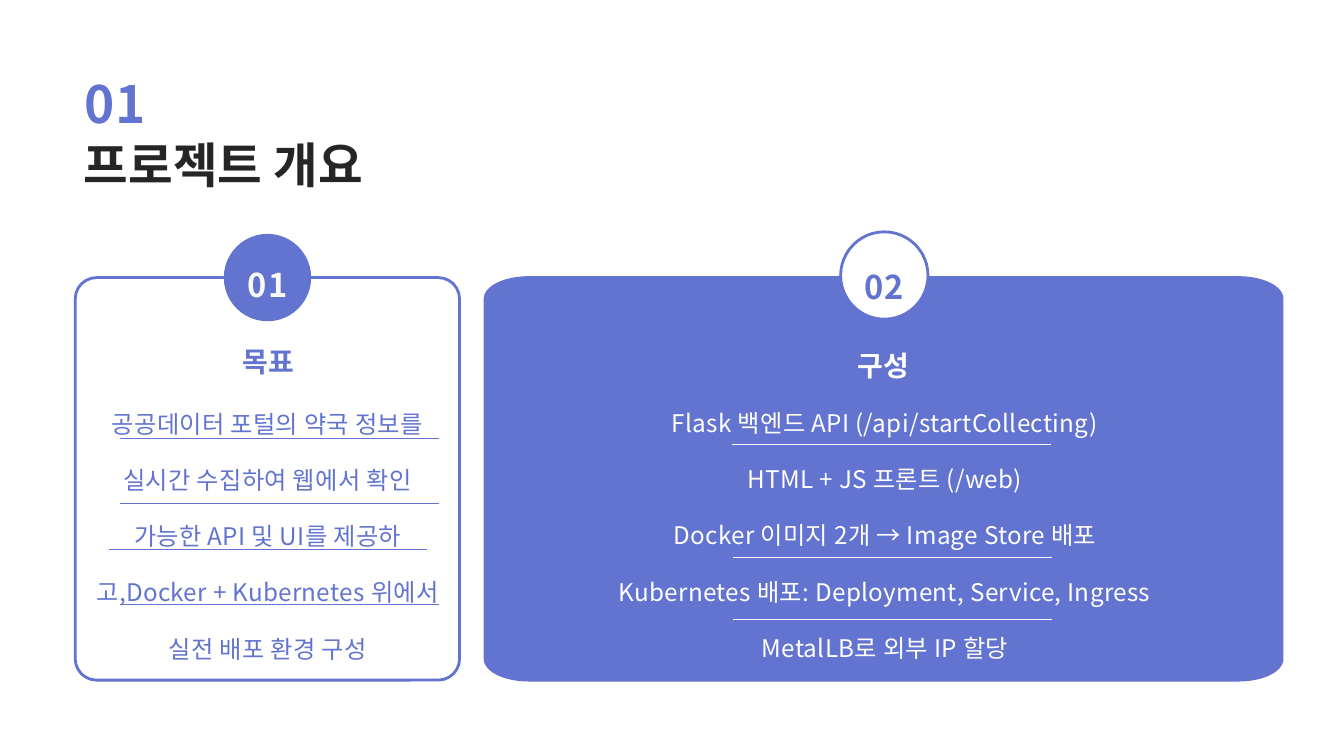
from math import cos, radians, sin

from lxml.etree import SubElement
from pptx import Presentation
from pptx.dml.color import RGBColor
from pptx.enum.shapes import MSO_CONNECTOR, MSO_SHAPE
from pptx.enum.text import MSO_AUTO_SIZE, PP_ALIGN
from pptx.oxml.ns import qn
from pptx.util import Pt

COLORS = {"blue": "6274CF", "white": "FFFFFF", "ivory": "F9FAF5", "black": "252525"}
FONT = "Noto Sans CJK KR"

presentation = Presentation()
presentation.slide_width = Pt(1440)
presentation.slide_height = Pt(810)
slide = presentation.slides.add_slide(presentation.slide_layouts[6])


def add_text(box, lines, size, color, leading, spacing=0, bold=True, align=PP_ALIGN.CENTER):
    frame = slide.shapes.add_textbox(*map(Pt, box)).text_frame
    frame_format = {
        "margin_left": 0, "margin_top": 0, "margin_right": 0, "margin_bottom": 0,
        "word_wrap": True, "auto_size": MSO_AUTO_SIZE.SHAPE_TO_FIT_TEXT,
    }
    for name, value in frame_format.items():
        setattr(frame, name, value)
    frame.text = "\n".join(lines)
    for paragraph in frame.paragraphs:
        paragraph.alignment = align
        paragraph.line_spacing = Pt(leading)
        run = paragraph.runs[0]
        for name, value in {"name": FONT, "size": Pt(size), "bold": bold}.items():
            setattr(run.font, name, value)
        run.font.color.rgb = RGBColor.from_string(COLORS[color])
        properties = run._r.get_or_add_rPr()
        properties.set("spc", str(round(spacing * 100)))
        SubElement(properties, qn("a:ea")).set("typeface", FONT)


def paint(shape, fill, line):
    shape.shadow.inherit = False
    if fill:
        shape.fill.solid()
        shape.fill.fore_color.rgb = RGBColor.from_string(COLORS[fill])
    else:
        shape.fill.background()
    if line:
        shape.line.color.rgb = RGBColor.from_string(COLORS[line])
        shape.line.width = Pt(3)
    else:
        shape.line.fill.background()


# Heading
add_text((90, 33.1, 110, 98.6), ["01"], 55, "blue", 110, 1.3, align=PP_ALIGN.LEFT)
add_text((90, 103, 417.6, 93.6), ["프로젝트 개요"], 52, "black", 104, align=PP_ALIGN.LEFT)

# Wide panel with elliptical corners, clockwise from the bottom right
left, top, width, height = 519.8, 297.4, 853.9, 431.3
radius_x, radius_y = 46.8, 22.8
corner_centers = [
    (left + width - radius_x, top + height - radius_y),
    (left + radius_x, top + height - radius_y),
    (left + radius_x, top + radius_y),
    (left + width - radius_x, top + radius_y),
]
outline = [
    (Pt(x + radius_x * cos(radians(angle))), Pt(y + radius_y * sin(radians(angle))))
    for quarter, (x, y) in enumerate(corner_centers)
    for angle in range(quarter * 90, quarter * 90 + 91, 5)
]
builder = slide.shapes.build_freeform(*outline[0])
builder.add_line_segments(outline[1:], close=True)
paint(builder.convert_to_shape(), "blue", "blue")

# Narrow panel with round corners
goal_panel = slide.shapes.add_shape(
    MSO_SHAPE.ROUNDED_RECTANGLE, Pt(80.6), Pt(top), Pt(411.8), Pt(height))
goal_panel.adjustments[0] = 22.8 / 411.8
paint(goal_panel, None, "blue")

# Number badges
for x, y, fill, line in [(900.7, 248.4, "white", "blue"), (239.8, 250.6, "blue", None)]:
    paint(slide.shapes.add_shape(MSO_SHAPE.OVAL, Pt(x), Pt(y), Pt(93.6), Pt(93.6)), fill, line)
add_text((915.8, 257.8, 62.6, 62.6), ["02"], 35, "blue", 70, 1.1)
add_text((255.6, 255.6, 62.6, 62.6), ["01"], 35, "ivory", 70, 1.1)

# Panel titles and body text
add_text((815.8, 372.2, 262, 37.4), ["구성"], 30, "white", 37.5, 0.3)
add_text((156.2, 367.2, 262, 37.4), ["목표"], 30, "blue", 37.5, 0.3)
components = [
    "Flask 백엔드 API (/api/startCollecting)",
    "HTML + JS 프론트 (/web)",
    "Docker 이미지 2개 → Image Store 배포",
    "Kubernetes 배포: Deployment, Service, Ingress",
    "MetalLB로 외부 IP 할당",
]
goal = ("공공데이터 포털의 약국 정보를 실시간 수집하여 웹에서 확인 가능한 API 및 UI를 "
        "제공하고,Docker + Kubernetes 위에서 실전 배포 환경 구성")
add_text((408.2, 408.2, 1080, 295.2), components, 26, "white", 60.3, 0.3, bold=False)
add_text((95, 409, 383.8, 295.2), [goal], 26, "blue", 60.3, 0.3, bold=False)

# Thin rules under the body lines
rules = [
    (784.8, 476.6, "white"), (785.5, 596.9, "white"), (785.5, 663.1, "white"),
    (128.9, 469.4, "blue"), (128.9, 539.3, "blue"),
    (116.6, 588.2, "blue"), (128.9, 648, "blue"),
]
for x, y, color in rules:
    rule = slide.shapes.add_connector(
        MSO_CONNECTOR.STRAIGHT, Pt(x), Pt(y), Pt(x + 341.3), Pt(y))
    rule.line.color.rgb = RGBColor.from_string(COLORS[color])
    rule.line.width = Pt(0.75)
    SubElement(rule._element.spPr, qn("a:effectLst"))

presentation.save("out.pptx")
